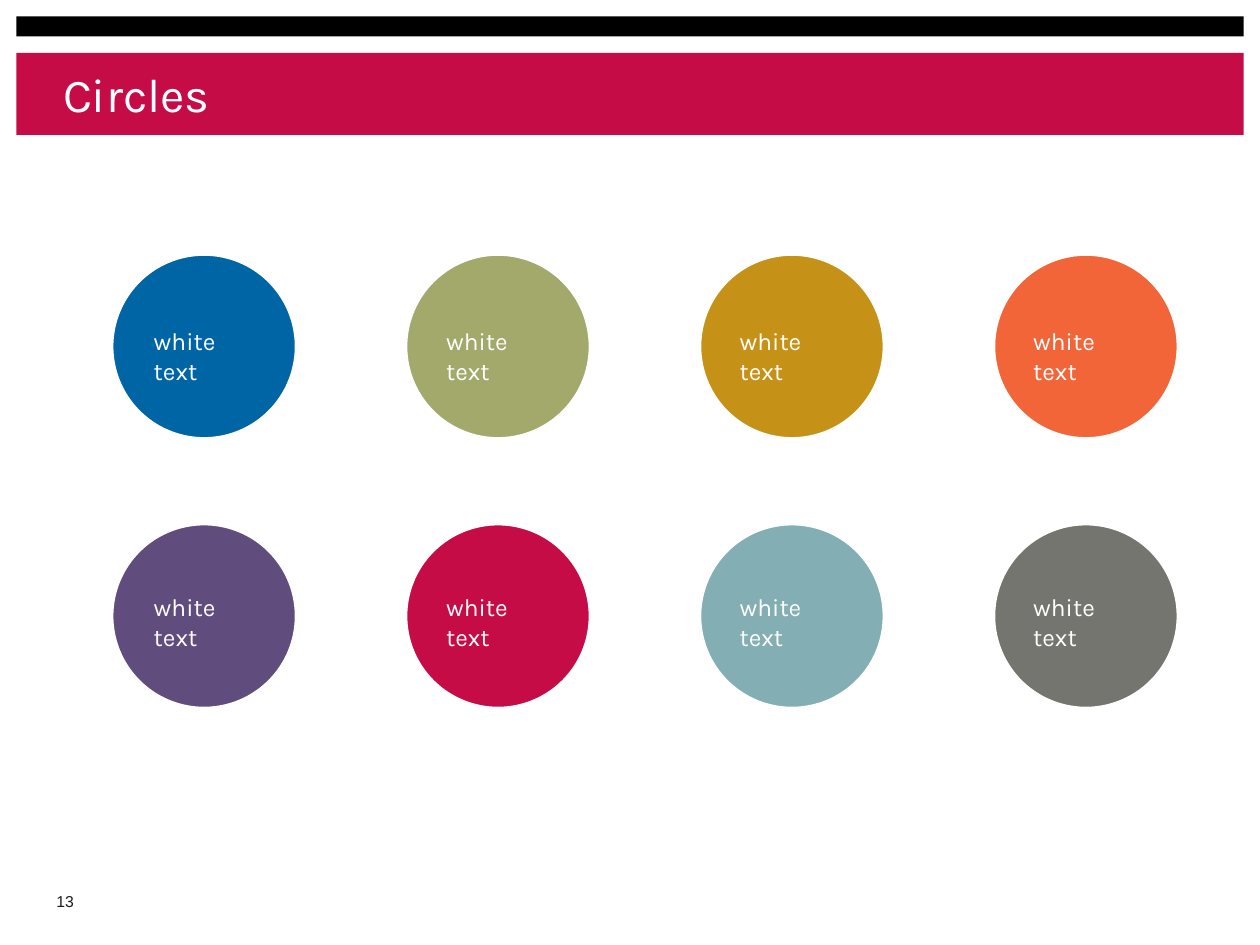
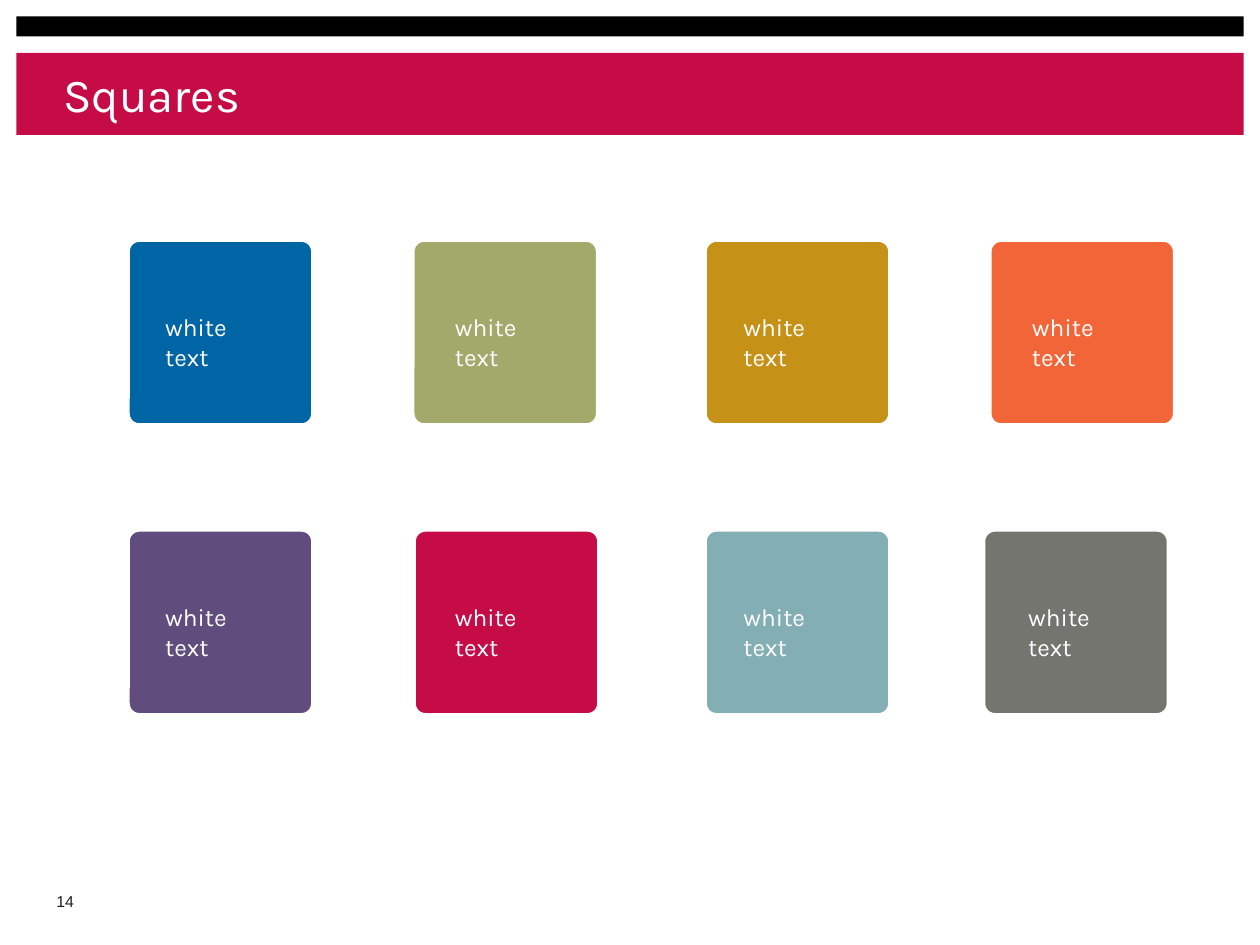
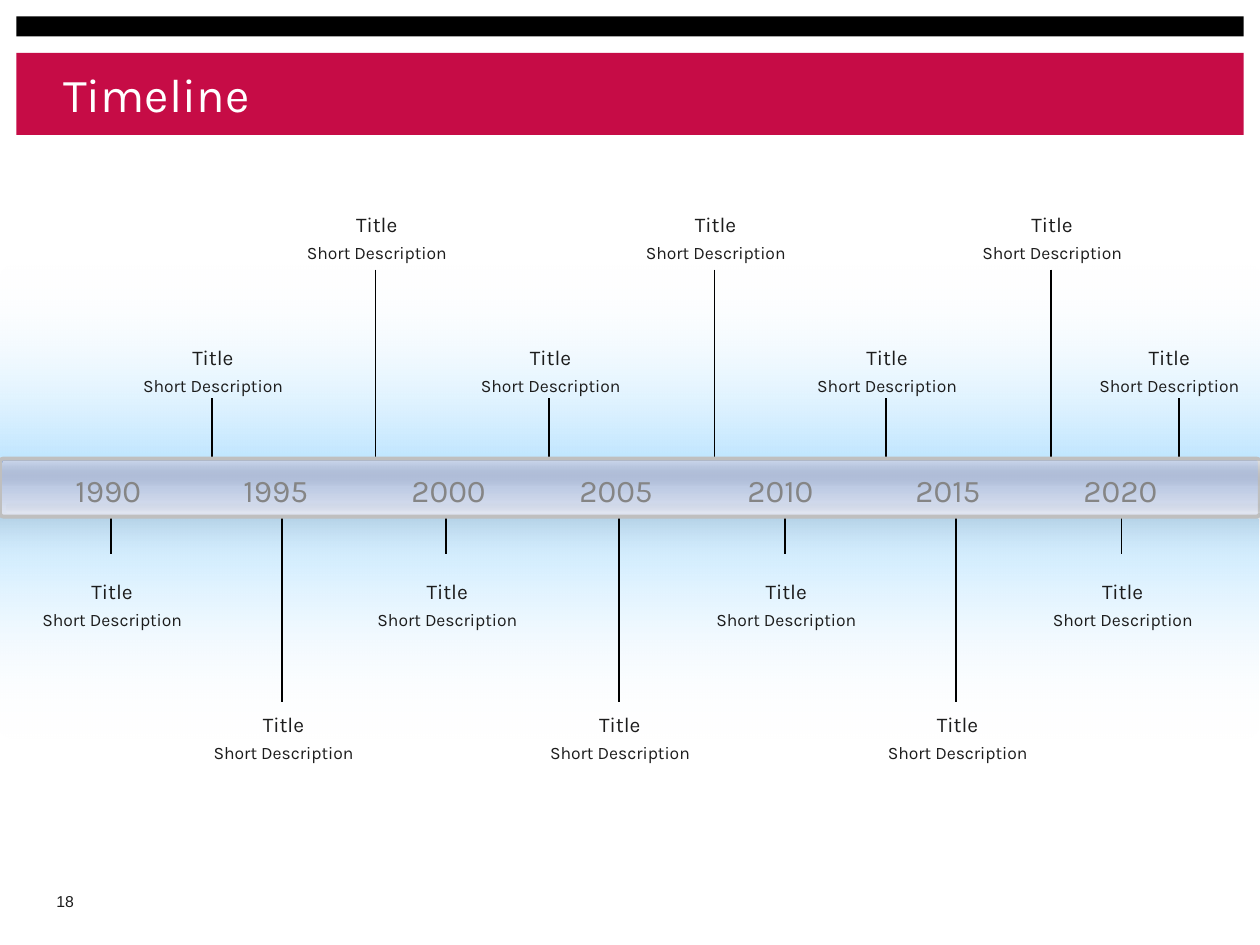
from dataclasses import dataclass
from typing import Optional

from pptx import Presentation
from pptx.dml.color import RGBColor
from pptx.enum.shapes import MSO_CONNECTOR, MSO_SHAPE
from pptx.enum.text import MSO_ANCHOR, MSO_AUTO_SIZE, PP_ALIGN
from pptx.oxml import parse_xml
from pptx.oxml.ns import nsdecls, qn
from pptx.util import Inches, Pt


@dataclass(frozen=True)
class Theme:
    """Colours, fonts and type sizes shared by the slides."""
    crimson: str = "C60C46"
    black: str = "000000"
    white: str = "FFFFFF"
    ink: str = "1C1C1C"
    year_grey: str = "858585"
    sky: str = "BAE4FF"
    steel: str = "8E8E95"
    bar_edge: str = "BFBFBF"
    swatches: tuple = (("0065A4", "A3A86B", "C59217", "F26539"),
                       ("614D7D", "C60C46", "83AFB4", "73756E"))
    font: str = "Karla"
    number_font: str = "Arial"
    title_size: float = 27
    year_size: float = 18
    swatch_size: float = 14
    event_sizes: tuple = (12, 10)
    number_size: float = 9


THEME = Theme()


@dataclass(frozen=True)
class Box:
    """A place on the slide, in inches."""
    left: float
    top: float
    width: float
    height: float

    def lengths(self) -> tuple:
        """Return the four measures as lengths."""
        return tuple(Inches(v) for v in (self.left, self.top, self.width, self.height))


@dataclass(frozen=True)
class Stop:
    """A gradient stop; position and opacity are percentages."""
    position: int
    color: str
    opacity: int = 100


@dataclass(frozen=True)
class SwatchRow:
    """One row of colour swatches and the places of their captions."""
    top: float
    caption_top: float
    lefts: tuple
    caption_lefts: tuple


@dataclass(frozen=True)
class EventRow:
    """Timeline events that share a caption height and a stem length."""
    caption_top: float
    stem_top: float
    stem_bottom: float
    stems: tuple


SWATCH_SIDE = 1.46
CIRCLE_LEFTS = tuple(0.89 + 2.333 * column for column in range(4))
CIRCLE_CAPTIONS = (1.22, 3.54, 5.87, 8.2)
CIRCLE_ROWS = (SwatchRow(2.02, 2.59, CIRCLE_LEFTS, CIRCLE_CAPTIONS),
               SwatchRow(4.16, 4.7, CIRCLE_LEFTS, CIRCLE_CAPTIONS))
SQUARE_ROWS = (SwatchRow(1.91, 2.48, (1.02, 3.28, 5.6, 7.86), (1.31, 3.61, 5.9, 8.19)),
               SwatchRow(4.21, 4.78, (1.02, 3.29, 5.6, 7.81), (1.31, 3.61, 5.9, 8.16)))
EVENT_ROWS = (EventRow(1.58, 2.14, 3.81, (2.98, 5.67, 8.34)),
              EventRow(2.63, 3.16, 3.8, (1.68, 4.36, 7.03, 9.36)),
              EventRow(4.49, 3.94, 4.4, (0.88, 3.54, 6.23, 8.9)),
              EventRow(5.55, 3.9, 5.57, (2.24, 4.91, 7.59)))
EVENT_WIDTH = 1.44


def add_text_shadow(run) -> None:
    """Put a small black shadow behind the letters of a run."""
    effect = parse_xml(
        f'<a:effectLst {nsdecls("a")}><a:outerShdw dist="17961" dir="2700000">'
        f'<a:srgbClr val="{THEME.black}"/></a:outerShdw></a:effectLst>')
    run.font._element.find(qn("a:solidFill")).addnext(effect)


def write(shape, text: str, *, sizes: tuple, color: str, font: str = THEME.font,
          align=PP_ALIGN.LEFT, anchor=MSO_ANCHOR.TOP, inset: float = 0,
          after: float = 0, leading: Optional[float] = None, wrap: bool = True,
          grow: bool = True, shadow: bool = False) -> None:
    """Fill a shape with one paragraph per line of text, one size for each."""
    frame = shape.text_frame
    frame.word_wrap = wrap
    frame.auto_size = MSO_AUTO_SIZE.SHAPE_TO_FIT_TEXT if grow else MSO_AUTO_SIZE.NONE
    frame.vertical_anchor = anchor
    frame.margin_left = frame.margin_right = Inches(inset)
    frame.margin_top = frame.margin_bottom = Inches(inset)
    for index, (line, size) in enumerate(zip(text.split("\n"), sizes)):
        paragraph = frame.add_paragraph() if index else frame.paragraphs[0]
        paragraph.alignment = align
        paragraph.space_after = Pt(after)
        if leading:
            paragraph.line_spacing = Pt(leading)
        run = paragraph.add_run()
        run.text = line
        run.font.size = Pt(size)
        run.font.name = font
        run.font.color.rgb = RGBColor.from_string(color)
        if shadow:
            add_text_shadow(run)


def add_caption(slide, box: Box, text: str, **style) -> None:
    """Add a text box in the given style."""
    write(slide.shapes.add_textbox(*box.lengths()), text, **style)


def add_panel(slide, box: Box, *, kind=MSO_SHAPE.RECTANGLE, fill: Optional[str] = None,
              stops: tuple = (), line: Optional[str] = None, line_width: float = 1.5,
              corner: Optional[float] = None, rotation: float = 0):
    """Add a preset shape with a plain fill or a downward gradient."""
    panel = slide.shapes.add_shape(kind, *box.lengths())
    panel.shadow.inherit = False
    panel.rotation = rotation
    if corner is not None:
        panel.adjustments[0] = corner
    if fill:
        panel.fill.solid()
        panel.fill.fore_color.rgb = RGBColor.from_string(fill)
    if stops:
        marks = "".join(
            f'<a:gs pos="{stop.position * 1000}"><a:srgbClr val="{stop.color}">'
            f'<a:alpha val="{stop.opacity * 1000}"/></a:srgbClr></a:gs>' for stop in stops)
        gradient = parse_xml(
            f'<a:gradFill {nsdecls("a")} rotWithShape="1"><a:gsLst>{marks}</a:gsLst>'
            '<a:lin ang="5400000" scaled="0"/></a:gradFill>')
        panel._element.spPr.find(qn("a:prstGeom")).addnext(gradient)
    if line:
        panel.line.color.rgb = RGBColor.from_string(line)
        panel.line.width = Pt(line_width)
    else:
        panel.line.fill.background()
    return panel


def add_stem(slide, x: float, top: float, bottom: float) -> None:
    """Add the vertical line that ties an event to the bar."""
    stem = slide.shapes.add_connector(MSO_CONNECTOR.STRAIGHT, Inches(x), Inches(top),
                                      Inches(x), Inches(bottom))
    stem.line.color.rgb = RGBColor.from_string(THEME.black)
    stem.line.width = Pt(1)
    stem._element.spPr.append(parse_xml(f'<a:effectLst {nsdecls("a")}/>'))


def move_bands_to_layout(slide) -> None:
    """Draw the two header bands and hand them to the slide's layout."""
    for box, color in ((Box(0.13, 0.42, 9.74, 0.65), THEME.crimson),
                       (Box(0.13, 0.13, 9.74, 0.16), THEME.black)):
        band = add_panel(slide, box, fill=color)
        slide.slide_layout.shapes._spTree.append(band._element)


def add_titled_slide(deck, title: str, number: int):
    """Add a slide with its title and page number."""
    slide = deck.slides.add_slide(deck.slide_layouts[5])
    heading = slide.shapes.title
    heading.left, heading.top, heading.width, heading.height = Box(
        0.5, 0.54, 9.36, 0.4).lengths()
    write(heading, title, sizes=(THEME.title_size,), color=THEME.white,
          anchor=MSO_ANCHOR.MIDDLE, grow=False)
    add_caption(slide, Box(0.35, 6.98, 0.36, 0.35), str(number),
                sizes=(THEME.number_size,), color=THEME.ink, font=THEME.number_font,
                anchor=MSO_ANCHOR.MIDDLE, inset=0.1, after=3, wrap=False)
    return slide


def add_swatches(slide, rows: tuple, kind, corner: Optional[float] = None) -> None:
    """Draw the palette as captioned shapes."""
    for row, colors in zip(rows, THEME.swatches):
        for left, caption_left, color in zip(row.lefts, row.caption_lefts, colors):
            add_panel(slide, Box(left, row.top, SWATCH_SIDE, SWATCH_SIDE), kind=kind,
                      fill=color, line=THEME.white, corner=corner)
            add_caption(slide, Box(caption_left, row.caption_top, 0.81, 0.24),
                        "white text", sizes=(THEME.swatch_size,), color=THEME.white,
                        shadow=True)


def add_timeline(slide) -> None:
    """Draw the glow, stems, year bar and event captions."""
    rounded = MSO_SHAPE.ROUNDED_RECTANGLE
    glow = (Stop(0, THEME.sky), Stop(100, THEME.white, 0))
    shade = (Stop(0, THEME.steel, 30), Stop(100, THEME.white, 0))
    for box, stops, rotation in ((Box(-0.01, 4.04, 10, 1.82), glow, 0),
                                 (Box(0, 4.05, 10, 0.44), shade, 0),
                                 (Box(0, 2.1, 10, 1.62), glow, 180)):
        add_panel(slide, box, kind=rounded, stops=stops, corner=0.067, rotation=rotation)

    for row in EVENT_ROWS:
        for x in row.stems:
            add_stem(slide, x, row.stem_top, row.stem_bottom)

    add_panel(slide, Box(0, 3.64, 10, 0.46), kind=rounded, corner=0.059,
              stops=(Stop(0, "93ABD6"), Stop(50, "BECBE4"), Stop(100, "E0E5F1")),
              line=THEME.bar_edge, line_width=2.25)
    for box, opacity, corner, rotation in ((Box(0.02, 3.66, 9.98, 0.19), 50, 0.067, 0),
                                           (Box(0.05, 4, 9.95, 0.07), 20, 0.224, 180)):
        add_panel(slide, box, kind=rounded, corner=corner, rotation=rotation,
                  stops=(Stop(0, THEME.white, opacity), Stop(100, THEME.steel, 0)))

    for index, year in enumerate(range(1990, 2021, 5)):
        add_caption(slide, Box(0.5 + index * 8 / 6, 3.68, 0.79, 0.39), str(year),
                    sizes=(THEME.year_size,), color=THEME.year_grey,
                    anchor=MSO_ANCHOR.MIDDLE, inset=0.1, after=20, leading=24, wrap=False)

    for row in EVENT_ROWS:
        for x in row.stems:
            left = min(x - 0.71, 10 - EVENT_WIDTH)
            add_caption(slide, Box(left, row.caption_top, EVENT_WIDTH, 0.61),
                        "Title\nShort Description", sizes=THEME.event_sizes,
                        color=THEME.ink, align=PP_ALIGN.CENTER,
                        anchor=MSO_ANCHOR.MIDDLE, inset=0.1, after=3)


def main() -> None:
    """Build the three slides and save them."""
    deck = Presentation()
    deck.slide_width, deck.slide_height = Inches(10), Inches(7.5)

    circles = add_titled_slide(deck, "Circles", 13)
    move_bands_to_layout(circles)
    add_swatches(circles, CIRCLE_ROWS, MSO_SHAPE.OVAL)

    squares = add_titled_slide(deck, "Squares", 14)
    add_swatches(squares, SQUARE_ROWS, MSO_SHAPE.ROUNDED_RECTANGLE, corner=0.059)

    add_timeline(add_titled_slide(deck, "Timeline", 18))
    deck.save("out.pptx")


main()
